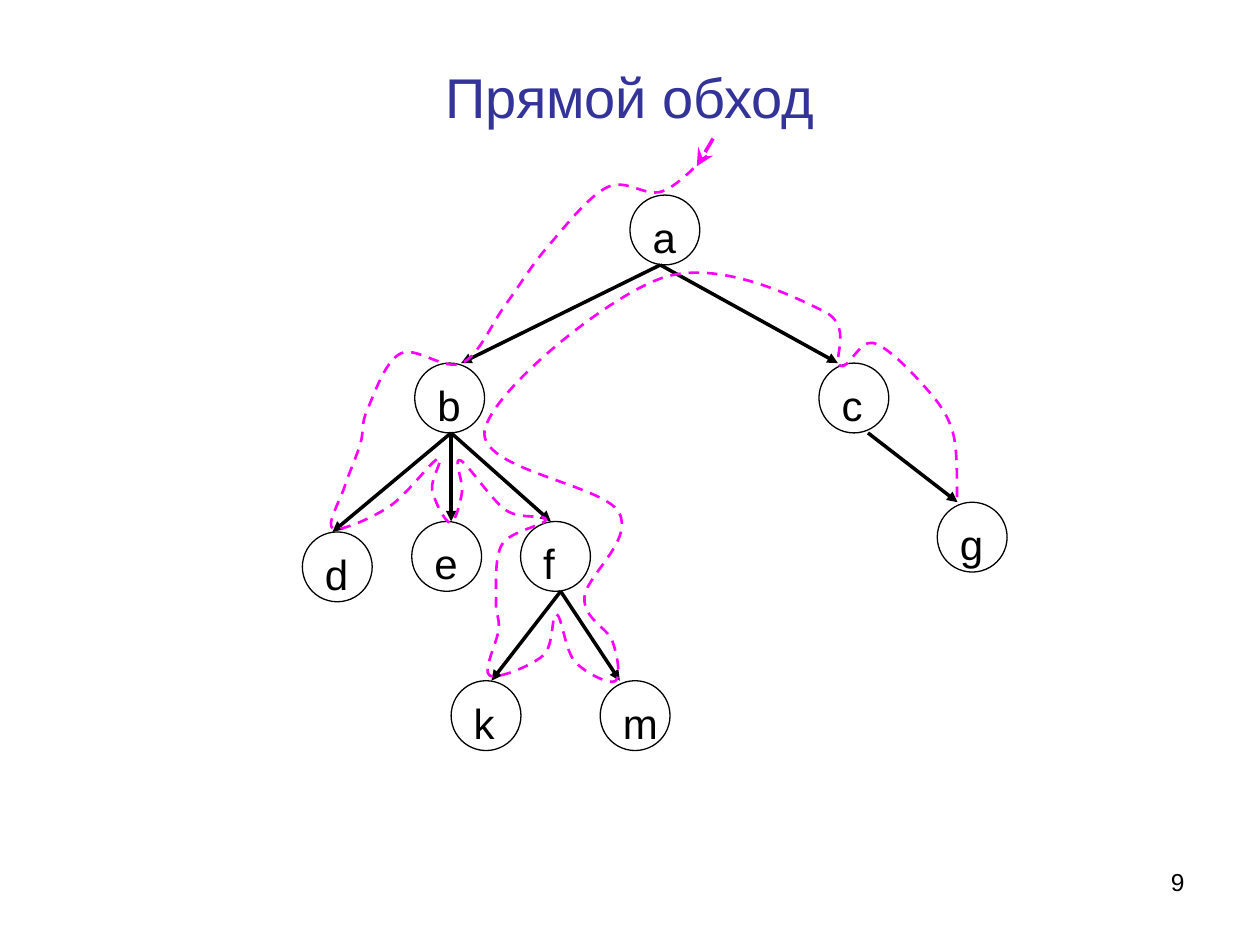
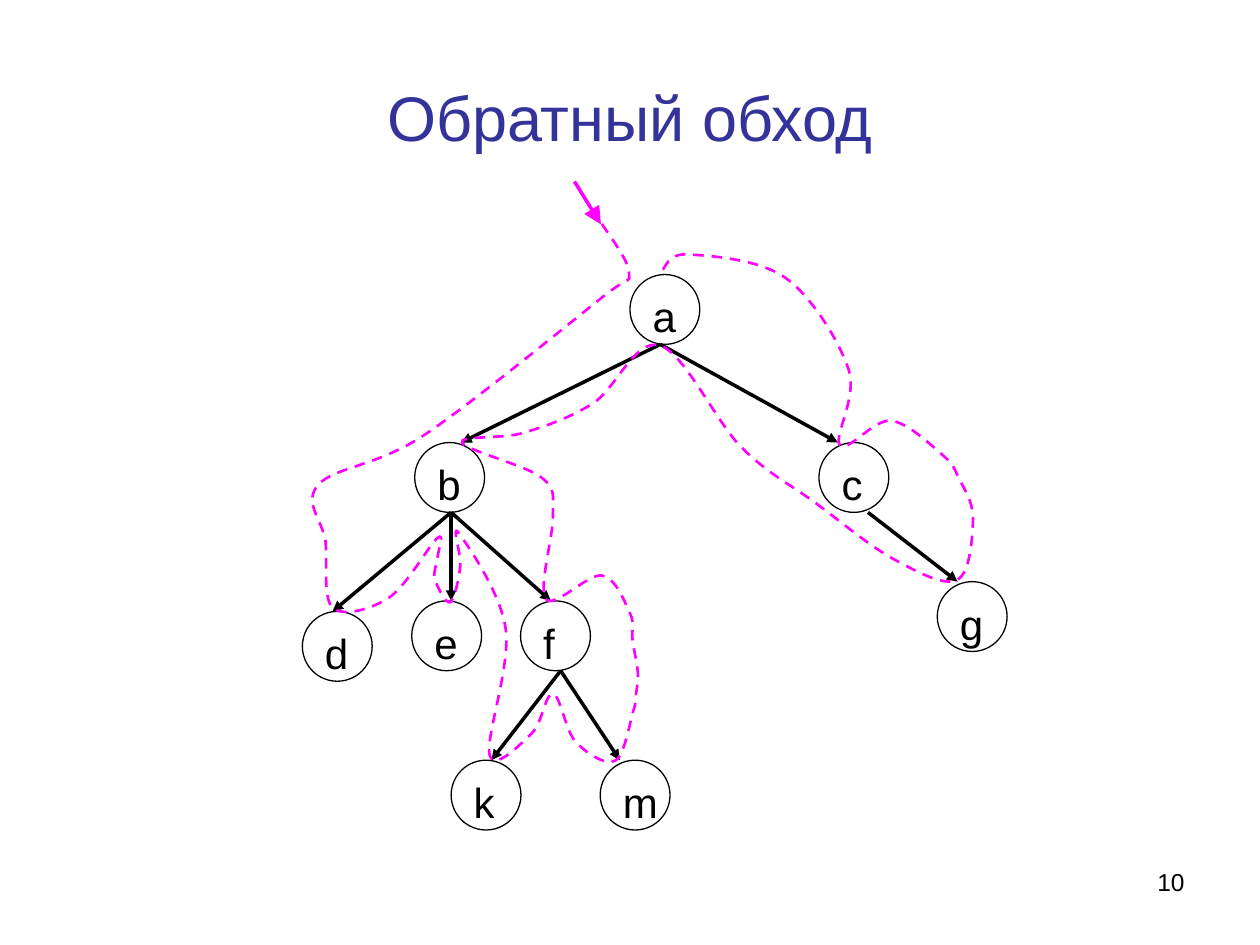
from collections import namedtuple
from lxml import etree
from pptx import Presentation
from pptx.dml.color import RGBColor as RGB
from pptx.enum.dml import MSO_LINE as Dash
from pptx.enum.shapes import MSO_CONNECTOR as Link, MSO_SHAPE as Kind
from pptx.enum.text import MSO_ANCHOR as Anchor, PP_ALIGN as Align
from pptx.oxml.ns import qn
from pptx.util import Pt

tint = {"title": "333399", "ink": "000000", "node": "FFFFFF", "walk": "FF00FF"}
size = 39.9

Node = namedtuple("Node", "label x y parent inlet outlet touch")
tree = {
    "a": Node("а", 360, 111.5, None, 0, 17.3, (18, -2)),
    "b": Node("b", 237, 207.5, "a", 26.5, 20.8, (27, 0)),
    "c": Node("c", 468, 207.5, "a", 10.8, 28, (12, 1.5)),
    "d": Node("d", 172.8, 304, "b", 17.2, 0, (17.5, -2)),
    "e": Node("e", 235.3, 298, "b", 22.5, 0, (22, 0.8)),
    "f": Node("f", 297.5, 298, "b", 17.3, 22.9, (14.5, -1)),
    "g": Node("g", 535.6, 287, "c", 11.6, 0, (11.4, -1)),
    "k": Node("k", 257.8, 389, "f", 23, 0, (22, -3)),
    "m": Node("m", 343, 389, "f", 11.2, 0, (8.5, 0.3)),
}

before = {
    "a": [],
    "b": [(347, 107), (313, 141), (289, 174)],
    "d": [(229, 202), (210, 234), (206, 253.5), (197, 278)],
    "e": [(222.5, 289.5), (250.5, 262), (247, 280)],
    "f": [(264, 281.5), (263, 263), (289, 291.5)],
    "k": [(287, 311), (283.5, 343.5), (285, 359.5)],
    "m": [(310.5, 374.5), (318, 351), (328.5, 378)],
    "c": [(350, 366.5), (334, 341.5), (353.5, 292.5), (277, 246), (378, 159), (471, 178)],
    "g": [(499, 196), (528, 220.5), (544.5, 247)],
}
after = {
    "d": [(359.5, 110.5), (343.5, 125), (242, 203.5), (182, 231.5), (186, 264)],
    "e": [(222.5, 296), (250, 262), (250, 273.5), (248.5, 285.5)],
    "k": [(263, 278.5), (262, 259), (289, 314)],
    "m": [(304, 373.5), (316, 351), (329, 378.5)],
    "f": [(362, 360.5), (363.5, 351), (364.5, 339), (361.5, 320.5), (360, 305), (344, 283.5)],
    "b": [(316, 249), (309.5, 227.5)],
    "g": [(299, 202), (339, 185), (377, 152), (423.5, 210), (466, 242), (510.5, 274)],
    "c": [(556, 251), (548, 228), (538.5, 214.5), (509, 195)],
    "a": [(485, 166), (449, 113.5), (393, 100)],
}

Page = namedtuple("Page", "title font high drop number entry head start legs")
pages = [
    Page("Прямой обход", 32, 67, 0, "9",
         (407.5, 79.2, 398.2, 95), "stealth", (404, 89), before),
    Page("Обратный обход", 36, 90, 45.4, "10",
         (328.3, 58.3, 343.4, 82.8), "triangle", (344, 82.5), after),
]


def write(shape, text, font, color, align, anchor=Anchor.TOP):
    frame = shape.text_frame
    frame.word_wrap = True
    frame.vertical_anchor = anchor
    frame.text = text
    para = frame.paragraphs[0]
    para.alignment = align
    run = para.runs[0].font
    run.name, run.size = "Arial", Pt(font)
    run.color.rgb = RGB.from_string(tint[color])


def arrow(shapes, ends, drop, color, head, scale):
    x1, y1, x2, y2 = ends
    link = shapes.add_connector(Link.STRAIGHT, Pt(x1), Pt(y1 + drop), Pt(x2), Pt(y2 + drop))
    link.line.width = Pt(2)
    link.line.color.rgb = RGB.from_string(tint[color])
    etree.SubElement(link.line._get_or_add_ln(), qn("a:tailEnd"), type=head, w=scale, len=scale)
    etree.SubElement(link._element.spPr, qn("a:effectLst"))


deck = Presentation()
deck.slide_width, deck.slide_height = Pt(720), Pt(540)

for page in pages:
    shapes = deck.slides.add_slide(deck.slide_layouts[6]).shapes

    title = shapes.add_textbox(Pt(36), Pt(21.6), Pt(648), Pt(page.high))
    write(title, page.title, page.font, "title", Align.CENTER, Anchor.MIDDLE)

    for node in tree.values():
        disc = shapes.add_shape(Kind.OVAL, Pt(node.x), Pt(node.y + page.drop), Pt(size), Pt(size))
        disc.shadow.inherit = False
        disc.fill.solid()
        disc.fill.fore_color.rgb = RGB.from_string(tint["node"])
        disc.line.color.rgb = RGB.from_string(tint["ink"])
        disc.line.width = Pt(0.75)
        write(disc, node.label, 24, "ink", Align.LEFT)

    for child in tree.values():
        if child.parent:
            parent = tree[child.parent]
            ends = (parent.x + parent.outlet, parent.y + size, child.x + child.inlet, child.y)
            arrow(shapes, ends, page.drop, "ink", "triangle", "med")

    stops = [page.start]
    for name, bends in page.legs.items():
        node = tree[name]
        dx, dy = node.touch
        stops += [*bends, (node.x + dx, node.y + dy)]
    dots = [(Pt(x), Pt(y + page.drop)) for x, y in stops]

    pen = shapes.build_freeform(*dots[0], scale=1.0)
    pen.add_line_segments(dots[1:], close=False)
    walk = pen.convert_to_shape()
    walk.shadow.inherit = False
    walk.fill.background()
    walk.line.color.rgb = RGB.from_string(tint["walk"])
    walk.line.width = Pt(1.5)
    walk.line.dash_style = Dash.DASH

    padded = [dots[0], *dots, dots[-1]]
    lines = list(walk._element.iter(qn("a:lnTo")))
    for line, prev, start, end, next_ in zip(lines, padded, padded[1:], padded[2:], padded[3:]):
        leave = [s + (e - p) / 6 for p, s, e in zip(prev, start, end)]
        arrive = [e - (n - s) / 6 for s, e, n in zip(start, end, next_)]
        curve = etree.Element(qn("a:cubicBezTo"))
        for x, y in (leave, arrive, end):
            etree.SubElement(curve, qn("a:pt"), x=str(round(x - walk.left)), y=str(round(y - walk.top)))
        line.getparent().replace(line, curve)

    arrow(shapes, page.entry, page.drop, "walk", page.head, "lg")

    number = shapes.add_textbox(Pt(516.2), Pt(491.8), Pt(167.8), Pt(37.4))
    write(number, page.number, 14, "ink", Align.RIGHT)

deck.save("out.pptx")
